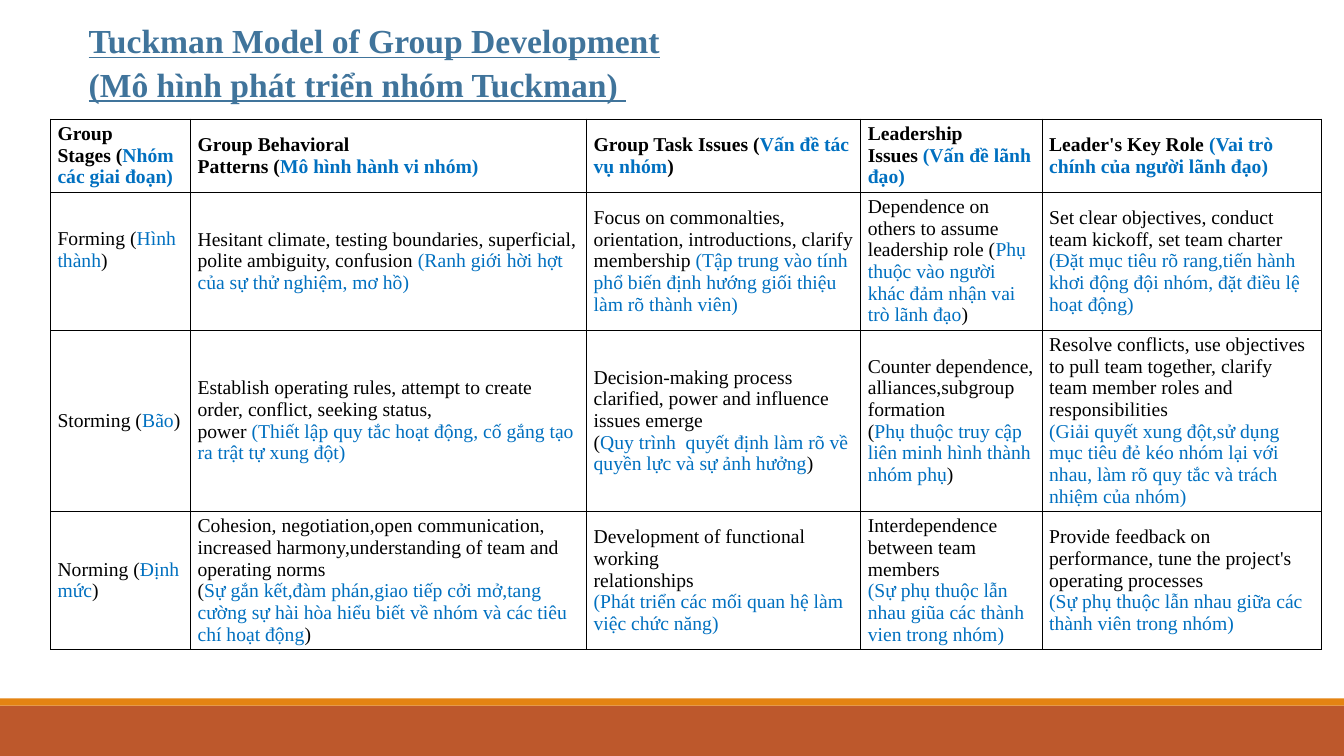
import pptx
import pptx.util
import pptx.dml.color
import pptx.enum.shapes
import pptx.enum.text
import pptx.oxml.ns
from lxml import etree

Cm, Pt = pptx.util.Cm, pptx.util.Pt
qn = pptx.oxml.ns.qn
ANCHOR = pptx.enum.text.MSO_ANCHOR
COLORS = {"text": "000000", "viet": "0070C0", "title": "40749B",
          "rust": "BD582C", "amber": "E48312"}
FONT = "Times New Roman"
SIZE = 14


def rgb(name):
    return pptx.dml.color.RGBColor.from_string(COLORS[name])


def write(para, text, bold):
    """Write text with its ~marked~ parts in blue; a newline is a line break."""
    for i, part in enumerate(text.split("~")):
        for j, line in enumerate(part.split("\n")):
            if j:
                para.add_line_break()
            if line:
                run = para.add_run()
                run.text = line
                run.font.name = FONT
                run.font.size = Pt(SIZE)
                run.font.bold = bold
                run.font.color.rgb = rgb("viet" if i % 2 else "text")
    for br in para._p.findall(qn("a:br")):
        etree.SubElement(br, qn("a:rPr"), sz=str(SIZE * 100))


deck = pptx.Presentation()
deck.slide_width, deck.slide_height = Cm(33.87), Cm(19.05)
slide = deck.slides.add_slide(deck.slide_layouts[5])

# Footer bands
for color, top, height in (("rust", 17.78, 1.27), ("amber", 17.6, 0.18)):
    band = slide.shapes.add_shape(pptx.enum.shapes.MSO_SHAPE.RECTANGLE,
                                  0, Cm(top), deck.slide_width, Cm(height))
    band.shadow.inherit = False
    band.fill.solid()
    band.fill.fore_color.rgb = rgb(color)
    band.line.fill.background()

# Title
title = slide.shapes.title
title.left, title.top, title.width, title.height = Cm(1.98), Cm(0.3), Cm(18.16), Cm(2.6)
frame = title.text_frame
frame.text = "Tuckman Model of Group Development\n(Mô hình phát triển nhóm Tuckman) "
frame.word_wrap = True
frame.auto_size = pptx.enum.text.MSO_AUTO_SIZE.NONE
frame.vertical_anchor = ANCHOR.TOP
for para in frame.paragraphs:
    para.alignment = pptx.enum.text.PP_ALIGN.LEFT
    para.line_spacing = 1.08
    for run in para.runs:
        run.font.name = FONT
        run.font.size = Pt(24)
        run.font.bold = True
        run.font.underline = True
        run.font.color.rgb = rgb("title")

# Table: each cell is a list of paragraphs
STAGES = [
    [["Group\nStages (~Nhóm các giai đoạn)~"],
     ["Group Behavioral\nPatterns (~Mô hình hành vi nhóm)~"],
     ["Group Task Issues (~Vấn đề tác vụ nhóm~)"],
     ["Leadership\nIssues ~(Vấn đề lãnh đạo)~"],
     ["Leader's Key Role ~(Vai trò chính của người lãnh đạo)~"]],
    [["Forming (~Hình thành~)"],
     ["Hesitant climate, testing boundaries, superficial, polite ambiguity, confusion "
      "~(Ranh giới hời hợt của sự thử nghiệm, mơ hồ)~"],
     ["Focus on commonalties, orientation, introductions, clarify membership "
      "~(Tập trung vào tính phổ biến định hướng giối thiệu làm rõ thành viên)~"],
     ["Dependence on others to assume leadership role "
      "(~Phụ thuộc vào người khác đảm nhận vai trò lãnh đạo~)"],
     ["Set clear objectives, conduct team kickoff, set team charter "
      "~(Đặt mục tiêu rõ rang,tiến hành khơi động đội nhóm, đặt điều lệ hoạt động)~"]],
    [["Storming (~Bão~)"],
     ["Establish operating rules, attempt to create order, conflict, seeking status,\n"
      "power ~(Thiết lập quy tắc hoạt động, cố gắng tạo ra trật tự xung đột)~"],
     ["Decision-making process clarified, power and influence issues emerge",
      "(~Quy trình  quyết định làm rõ về quyền lực và sự ảnh hưởng~)"],
     ["Counter dependence,\nalliances,subgroup formation",
      "(~Phụ thuộc truy cập liên minh hình thành nhóm phụ~)"],
     ["Resolve conflicts, use objectives to pull team together, "
      "clarify team member roles and responsibilities",
      "~(Giải quyết xung đột,sử dụng mục tiêu đẻ kéo nhóm lại với nhau, "
      "làm rõ quy tắc và trách nhiệm của nhóm)~"]],
    [["Norming (~Định mức~)"],
     ["Cohesion, negotiation,open communication,\n"
      "increased harmony,understanding of team and\noperating norms",
      "(~Sự gắn kết,đàm phán,giao tiếp cởi mở,tang cường sự hài hòa hiểu biết "
      "về nhóm và các tiêu chí hoạt động~)"],
     ["Development of functional working\nrelationships",
      "~(Phát triển các mối quan hệ làm việc chức năng)~"],
     ["Interdependence between team members",
      "~(Sự phụ thuộc lẫn nhau giũa các thành vien trong nhóm)~"],
     ["Provide feedback on performance, tune the project's operating processes",
      "~(Sự phụ thuộc lẫn nhau giữa các thành viên trong nhóm)~"]],
]
WIDTHS = [3.53, 9.98, 6.91, 4.57, 7.04]
HEIGHTS = [1.83, 3.48, 4.55, 3.45]

table = slide.shapes.add_table(len(HEIGHTS), len(WIDTHS), Cm(1.27), Cm(3),
                               Cm(sum(WIDTHS)), Cm(sum(HEIGHTS))).table
table.horz_banding = False
for col, width in zip(table.columns, WIDTHS):
    col.width = Cm(width)
for row, height, stage in zip(table.rows, HEIGHTS, STAGES):
    row.height = Cm(height)
    head = stage is STAGES[0]
    for cell, paras in zip(row.cells, stage):
        cell.vertical_anchor = ANCHOR.MIDDLE
        cell.margin_left = cell.margin_right = Cm(0.18)
        cell.margin_top = cell.margin_bottom = Cm(0.1)
        props = cell._tc.get_or_add_tcPr()
        for side in ("lnL", "lnR", "lnT", "lnB"):
            edge = etree.SubElement(props, qn("a:" + side), w=str(Pt(0.5)))
            fill = etree.SubElement(edge, qn("a:solidFill"))
            etree.SubElement(fill, qn("a:srgbClr"), val=COLORS["text"])
        cell.fill.background()
        for i, text in enumerate(paras):
            body = cell.text_frame
            para = body.add_paragraph() if i else body.paragraphs[0]
            write(para, text, head)
# The first stage name sits slightly above the middle
table.cell(1, 0).margin_bottom = Cm(0.65)

deck.save("out.pptx")
